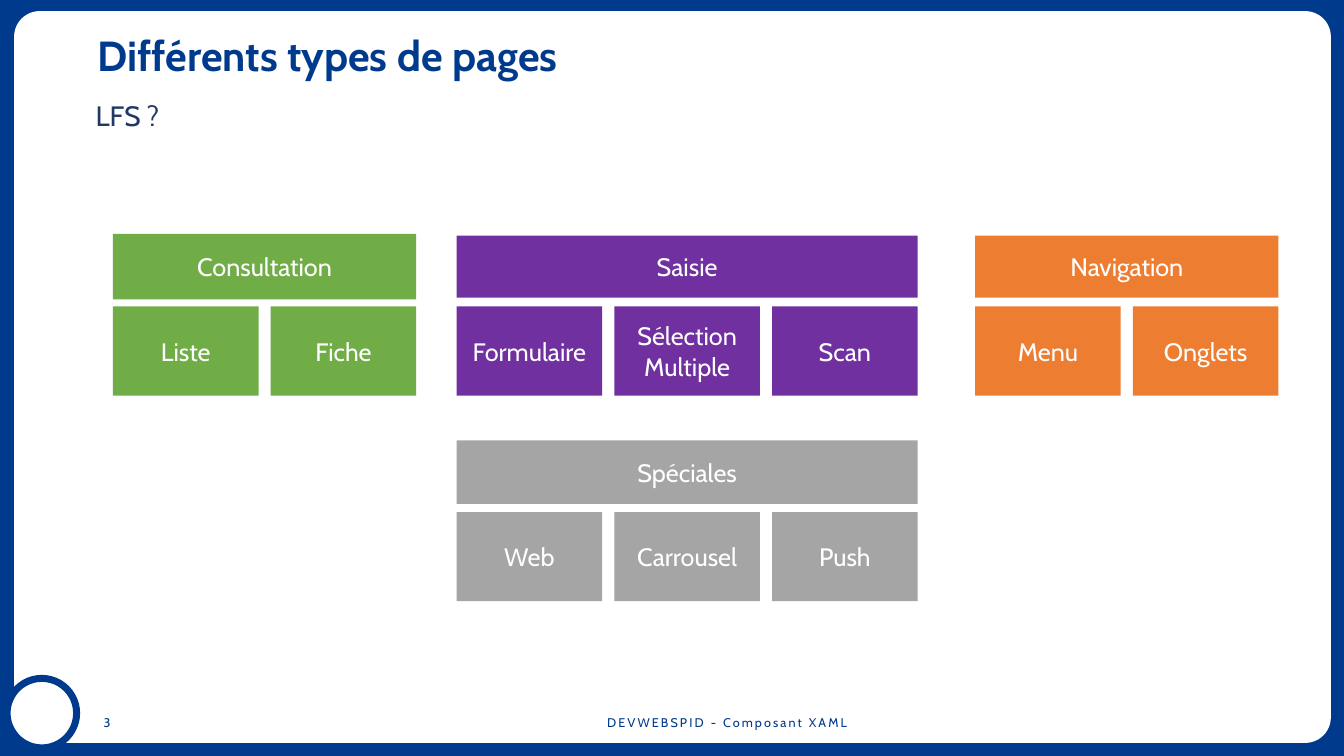
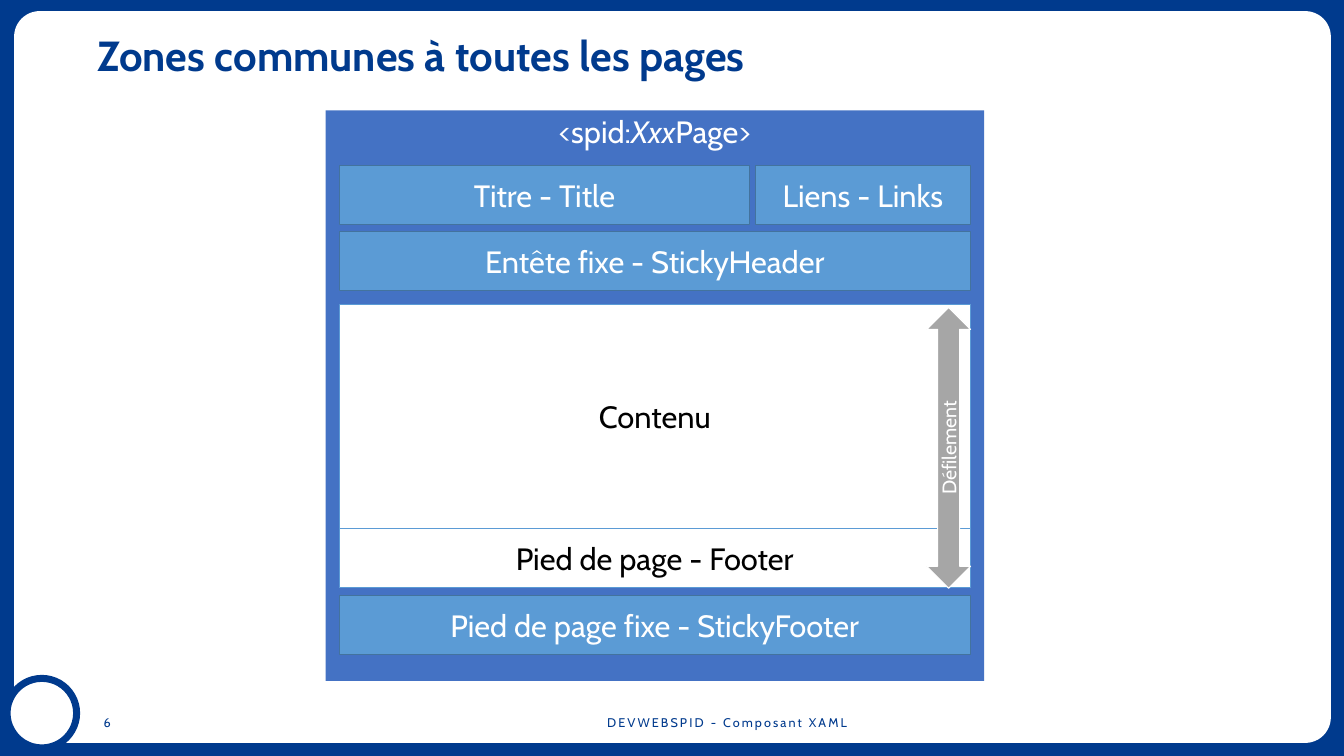
from pptx import Presentation
from pptx.dml.color import RGBColor
from pptx.enum.shapes import MSO_SHAPE
from pptx.enum.text import MSO_ANCHOR, PP_ALIGN
from pptx.util import Inches, Pt

RECT, ROUND_RECT = MSO_SHAPE.RECTANGLE, MSO_SHAPE.ROUNDED_RECTANGLE
OVAL, DOUBLE_ARROW = MSO_SHAPE.OVAL, MSO_SHAPE.LEFT_RIGHT_ARROW
TOP, MIDDLE = MSO_ANCHOR.TOP, MSO_ANCHOR.MIDDLE
LEFT, CENTER = PP_ALIGN.LEFT, PP_ALIGN.CENTER

NAVY = RGBColor(0x00, 0x3A, 0x8D)
DARK_BLUE = RGBColor(0x20, 0x38, 0x64)
WHITE = RGBColor(0xFF, 0xFF, 0xFF)
BLACK = RGBColor(0x00, 0x00, 0x00)
GREEN = RGBColor(0x70, 0xAD, 0x47)
PURPLE = RGBColor(0x70, 0x30, 0xA0)
ORANGE = RGBColor(0xED, 0x7D, 0x31)
GREY = RGBColor(0xA5, 0xA5, 0xA5)
ARROW_GREY = RGBColor(0xA6, 0xA6, 0xA6)
PAGE_BLUE = RGBColor(0x44, 0x72, 0xC4)
ZONE_BLUE = RGBColor(0x5B, 0x9B, 0xD5)
ZONE_EDGE = RGBColor(0x43, 0x73, 0x9E)

FONT = "Cabin"
FOOTER = "DEVWEBSPID - Composant XAML"
TITLE_STYLE = {"size": Pt(60), "bold": True}
FOOTER_STYLE = {"size": Pt(18)}
SUBTITLE_STYLE = {"size": Pt(40)}
TILE_STYLE = {"size": Pt(36)}
ZONE_STYLE = {"size": Pt(44)}
ARROW_STYLE = {"size": Pt(28)}


def write(sp, runs, style, color, align=CENTER, anchor=MIDDLE):
    """Fill a shape with one paragraph; runs is a text or (text, extra style) pairs."""
    tf = sp.text_frame
    tf.word_wrap = True
    tf.vertical_anchor = anchor
    p = tf.paragraphs[0]
    p.alignment = align
    for text, extra in [(runs, {})] if isinstance(runs, str) else runs:
        r = p.add_run()
        r.text = text
        for name, value in {"name": FONT, **style, **extra}.items():
            setattr(r.font, name, value)
        r.font.color.rgb = color
    return p


def add_text(s, box, text, style, color, align=LEFT, anchor=TOP):
    sp = s.shapes.add_textbox(*map(Inches, box))
    return write(sp, text, style, color, align, anchor)


def add_block(s, box, fill, line=None, width=1, kind=RECT):
    sp = s.shapes.add_shape(kind, *map(Inches, box))
    sp.shadow.inherit = False
    sp.fill.solid()
    sp.fill.fore_color.rgb = fill
    if line is None:
        sp.line.fill.background()
    else:
        sp.line.color.rgb = line
        sp.line.width = Pt(width)
    return sp


def add_framed_slide(prs, title, number):
    s = prs.slides.add_slide(prs.slide_layouts[6])
    panel = add_block(s, (0.28, 0.22, 26.13, 14.52), WHITE, kind=ROUND_RECT)
    panel.adjustments[0] = 0.035
    add_block(s, (0.14, 13.46, 1.38, 1.38), WHITE, NAVY, 10, OVAL)
    p = add_text(s, (1.83, 0.65, 24.1, 1.15), title, TITLE_STYLE, NAVY)
    p.line_spacing = 0.9
    for box, text, align in (((2.93, 14.09, 23, 0.49), FOOTER, CENTER),
                             ((1.96, 14.09, 1.15, 0.49), str(number), LEFT)):
        p = add_text(s, box, text, FOOTER_STYLE, NAVY, align, MIDDLE)
        p.runs[0].font._element.set("spc", "300")
    return s


def add_family(s, x, y, head_height, color, name, members):
    """Row of tiles at (x, y) under a heading as wide as the row."""
    tile_w, tile_h, pitch, head_rise = 2.89, 1.77, 3.13, 0.79
    row_w = pitch * (len(members) - 1) + tile_w
    head = (x, y - head_rise - head_height / 2, row_w, head_height)
    write(add_block(s, head, color), name, TILE_STYLE, WHITE)
    for i, member in enumerate(members):
        tile = add_block(s, (x + i * pitch, y, tile_w, tile_h), color)
        write(tile, member, TILE_STYLE, WHITE)


def add_page_zones(s, x, y, w, h):
    page = add_block(s, (x, y, w, h), PAGE_BLUE)
    write(page, [("<spid:", {}), ("Xxx", {"italic": True}), ("Page>", {})],
          ZONE_STYLE, WHITE, anchor=TOP)
    margin, gap, bar, links_w = 0.27, 0.11, 1.17, 4.27
    inner = w - 2 * margin
    title_w = inner - gap - links_w
    fixed, scrolled = (ZONE_BLUE, ZONE_EDGE, WHITE), (WHITE, ZONE_BLUE, BLACK)
    zones = (
        ("Titre - Title", 0, 1.1, title_w, bar, fixed),
        ("Liens - Links", title_w + gap, 1.1, links_w, bar, fixed),
        ("Entête fixe - StickyHeader", 0, 2.41, inner, bar, fixed),
        ("Contenu", 0, 3.85, inner, 4.45, scrolled),
        ("Pied de page - Footer", 0, 8.3, inner, bar, scrolled),
        ("Pied de page fixe - StickyFooter", 0, 9.62, inner, bar, fixed),
    )
    for text, dx, dy, zone_w, zone_h, (fill, line, color) in zones:
        zone = add_block(s, (x + margin + dx, y + dy, zone_w, zone_h), fill, line)
        write(zone, text, ZONE_STYLE, color)
    arrow = add_block(s, (x + 9.58, y + 6.26, 5.57, 0.87), ARROW_GREY, WHITE, 1.5,
                      DOUBLE_ARROW)
    arrow.rotation = 270
    write(arrow, "Défilement", ARROW_STYLE, WHITE)


def build_page_types(prs):
    s = add_framed_slide(prs, "Différents types de pages", 3)
    add_text(s, (1.8, 1.9, 24.13, 0.77), "LFS ?", SUBTITLE_STYLE, DARK_BLUE)
    for family in (
        (2.24, 6.08, 1.3, GREEN, "Consultation", ("Liste", "Fiche")),
        (9.06, 6.08, 1.23, PURPLE, "Saisie",
         ("Formulaire", "Sélection Multiple", "Scan")),
        (19.35, 6.08, 1.23, ORANGE, "Navigation", ("Menu", "Onglets")),
        (9.06, 10.16, 1.26, GREY, "Spéciales", ("Web", "Carrousel", "Push")),
    ):
        add_family(s, *family)


def build_common_zones(prs):
    s = add_framed_slide(prs, "Zones communes à toutes les pages", 6)
    add_page_zones(s, 6.46, 2.19, 13.07, 11.32)


def main():
    prs = Presentation()
    prs.slide_width, prs.slide_height = Inches(26.67), Inches(15)
    background = prs.slide_master.background.fill
    background.solid()
    background.fore_color.rgb = NAVY
    build_page_types(prs)
    build_common_zones(prs)
    prs.save("out.pptx")


if __name__ == "__main__":
    main()
